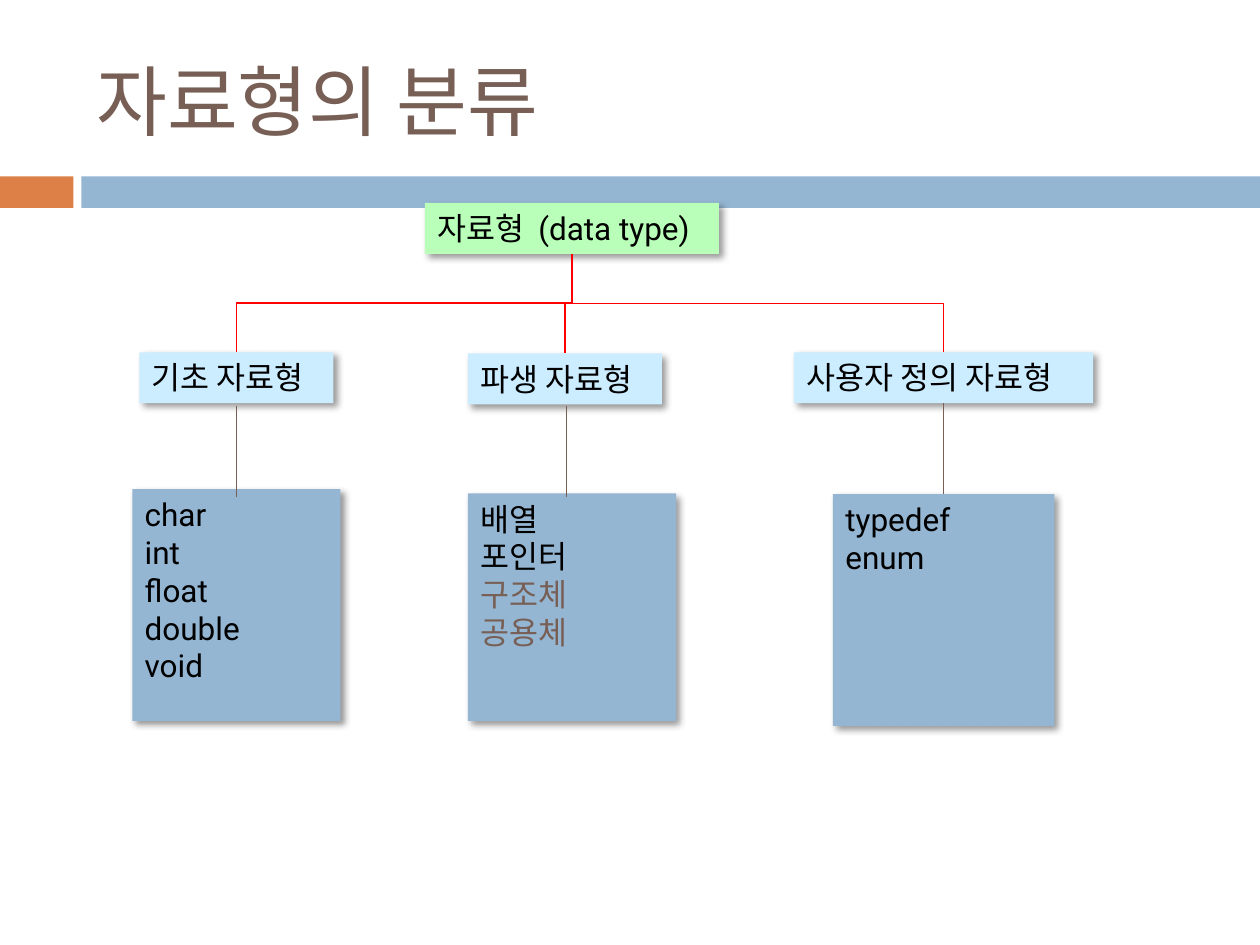
from lxml import etree
from pptx import Presentation
from pptx import util as u
from pptx.dml.color import RGBColor
from pptx.enum import shapes, text
from pptx.oxml import ns

Pt = u.Pt
BLACK, BROWN, BLUE, RED = "000000", "775F55", "94B6D2", "FF0000"
LINK = shapes.MSO_CONNECTOR


def color(code):
    return RGBColor.from_string(code)


class Page:
    font, size, thin = "Roboto", 18, 0.79

    def __init__(self, slide):
        self.slide = slide

    def bar(self, x, y, w, h, fill):
        box = self.slide.shapes.add_shape(
            shapes.MSO_SHAPE.RECTANGLE, Pt(x), Pt(y), Pt(w), Pt(h))
        box.shadow.inherit = False
        box.fill.solid()
        box.fill.fore_color.rgb = color(fill)
        box.line.fill.background()
        return box

    def label(self, frame, rows, font, size, tint, anchor):
        frame.word_wrap = True
        frame.vertical_anchor = anchor
        frame.text = "\n".join(rows)
        for para in frame.paragraphs:
            para.alignment = text.PP_ALIGN.LEFT
            for run in para.runs:
                run.font.name = font
                run.font.size = Pt(size)
                run.font.color.rgb = color(tint)

    def title(self, x, y, w, h, words):
        box = self.slide.shapes.add_textbox(Pt(x), Pt(y), Pt(w), Pt(h))
        self.label(box.text_frame, [words], "Calibri", 44, BROWN,
                   text.MSO_ANCHOR.MIDDLE)

    def shade(self, box):
        """Soft black shadow, 3 pt away to the lower right."""
        effect = box._element.spPr.find(ns.qn("a:effectLst"))
        outer = etree.SubElement(
            effect, ns.qn("a:outerShdw"), blurRad=str(Pt(4)),
            dist=str(Pt(3)), dir="2700000", algn="tl", rotWithShape="0")
        tint = etree.SubElement(outer, ns.qn("a:srgbClr"), val=BLACK)
        etree.SubElement(tint, ns.qn("a:alpha"), val="40000")

    def card(self, x, y, w, h, fill, rows, muted=()):
        box = self.bar(x, y, w, h, fill)
        self.shade(box)
        self.label(box.text_frame, rows, self.font, self.size, BLACK,
                   text.MSO_ANCHOR.TOP)
        for para in box.text_frame.paragraphs:
            if para.text in muted:
                para.runs[0].font.color.rgb = color(BROWN)

    def line(self, kind, x1, y1, x2, y2, tint):
        link = self.slide.shapes.add_connector(
            kind, Pt(x1), Pt(y1), Pt(x2), Pt(y2))
        link.line.color.rgb = color(tint)
        link.line.width = Pt(self.thin)
        etree.SubElement(link._element.spPr, ns.qn("a:effectLst"))
        return link

    def branch(self, x1, y1, x2, y2, tint):
        """Elbow that leaves downwards: a level elbow turned by 90 degrees."""
        mx, my = (x1 + x2) / 2, (y1 + y2) / 2
        dx, dy = (x2 - x1) / 2, (y2 - y1) / 2
        link = self.line(LINK.ELBOW, mx - dy, my + dx, mx + dy, my - dx, tint)
        link._element.spPr.find(ns.qn("a:xfrm")).set("rot", "5400000")


def main():
    deck = Presentation()
    deck.slide_width, deck.slide_height = Pt(720), Pt(540)
    page = Page(deck.slides.add_slide(deck.slide_layouts[6]))

    # Title and band
    page.bar(0, 100.8, 42, 18, "DD8047")
    page.bar(46.5, 100.8, 673.5, 18, BLUE)
    page.title(48, 18, 642, 78, "자료형의 분류")

    # Root
    page.card(242.8, 116, 168, 29.1, "B9FFB9", ["자료형  (data type)"])

    # Kinds: name, head (x, y, w), list (x, y, w, h), rows, stem (x, y)
    kinds = [
        ("기초 자료형", (79.7, 201.3, 110.9), (75.6, 279.5, 119, 132.5),
         ["char", "int", "float", "double", "void"], (135.2, 231.8)),
        ("파생 자료형", (267.4, 202, 110.9), (267.4, 282, 119, 130),
         ["배열", "포인터", "구조체", "공용체"], (323.7, 231.8)),
        ("사용자 정의 자료형", (453.7, 201.3, 170.9), (476, 282.4, 126.5, 132.5),
         ["typedef", "enum"], (539.2, 230.4)),
    ]
    for name, (x, y, w), area, rows, stem in kinds:
        page.card(x, y, w, 29.1, "CCECFF", [name])
        page.card(*area, BLUE, rows, muted=("구조체", "공용체"))

    # Links
    for name, (x, y, w), area, rows, (sx, sy) in kinds:
        page.branch(326.8, 145.2, x + w / 2, y, RED)
        page.line(LINK.STRAIGHT, sx, sy, sx, sy + 52, BROWN)

    deck.save("out.pptx")


if __name__ == "__main__":
    main()
